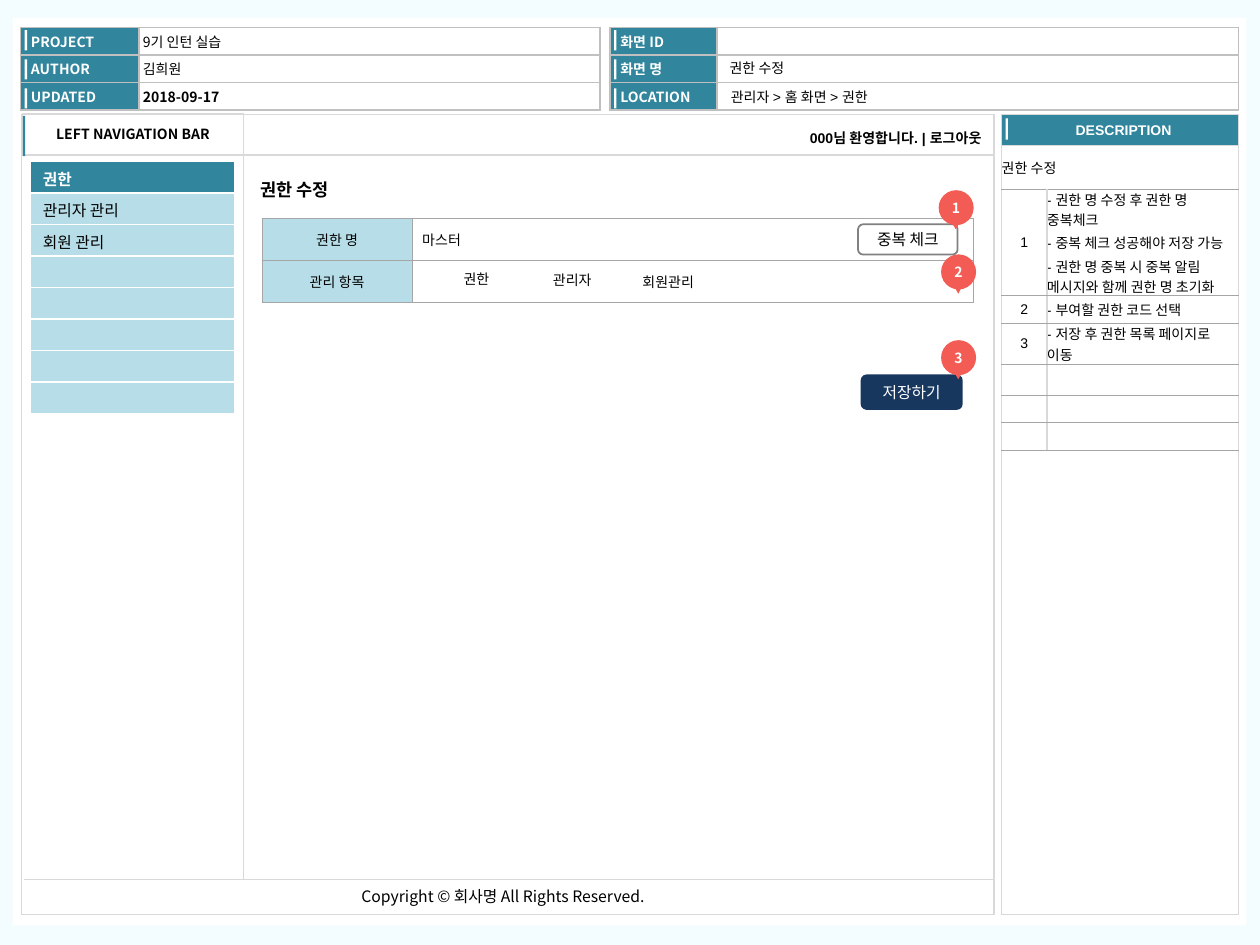
from dataclasses import dataclass
from typing import Any, Optional, Sequence

import lxml.etree
import pptx
import pptx.dml.color
import pptx.enum.shapes
import pptx.enum.text
import pptx.oxml.ns
import pptx.util

Pt = pptx.util.Pt
Align = pptx.enum.text.PP_ALIGN
Anchor = pptx.enum.text.MSO_ANCHOR
Preset = pptx.enum.shapes.MSO_SHAPE
qn = pptx.oxml.ns.qn


@dataclass(frozen=True)
class Theme:
    """Colours, fonts and type sizes of the slide."""
    page: str = "F3FCFF"
    white: str = "FFFFFF"
    black: str = "000000"
    teal: str = "31859C"
    pale: str = "B7DEE8"
    navy: str = "17375E"
    coral: str = "F25C54"
    frame: str = "D9D9D9"
    grid: str = "C0C0C0"
    rule: str = "A6A6A6"
    outline: str = "808080"
    noto: str = "Noto Sans CJK KR"
    arial: str = "Arial"
    small: float = 8
    medium: float = 9
    heading: float = 10


THEME = Theme()
TIGHT = (2.2, 0, 2.2, 0)
SNUG = (5.8, 2.9, 5.8, 2.9)
NORMAL = (7.2, 3.6, 7.2, 3.6)
NONE = (0, 0, 0, 0)


@dataclass(frozen=True)
class Style:
    """How a piece of text looks."""
    size: float = THEME.small
    color: str = THEME.black
    bold: bool = False
    font: str = THEME.noto
    align: Any = Align.LEFT
    before: float = 0


@dataclass(frozen=True)
class Cell:
    """Content, fill and insets of one table cell."""
    lines: Sequence[str] = ()
    style: Style = Style(before=1.6)
    fill: Optional[str] = THEME.white
    insets: Sequence[float] = TIGHT


@dataclass(frozen=True)
class Edges:
    """Colour and width of the side and the horizontal borders."""
    side: str
    side_width: float
    top: str
    bottom: str
    width: float


def uniform(color: str, width: float) -> Edges:
    """Give the same border on all sides."""
    return Edges(color, width, color, color, width)


def rgb(value: str) -> Any:
    """Turn a hex string into a colour."""
    return pptx.dml.color.RGBColor.from_string(value)


def write(frame: Any, lines: Sequence[str], style: Style) -> None:
    """Write one paragraph per line, each with one formatted run."""
    for index, line in enumerate(lines):
        paragraph = frame.add_paragraph() if index else frame.paragraphs[0]
        paragraph.alignment = style.align
        paragraph.space_before = Pt(style.before)
        run = paragraph.add_run()
        run.text = line
        run.font.name = style.font
        run.font.size = Pt(style.size)
        run.font.bold = style.bold
        run.font.color.rgb = rgb(style.color)
        east_asian = lxml.etree.Element(qn("a:ea"), typeface=THEME.noto)
        run.font._element.find(qn("a:latin")).addnext(east_asian)


def set_insets(target: Any, insets: Sequence[float]) -> None:
    """Set the left, top, right and bottom insets."""
    for side, value in zip(("left", "top", "right", "bottom"), insets):
        setattr(target, f"margin_{side}", Pt(value))


def add_box(shapes: Any, preset: Any, box: Sequence[float], fill: Optional[str] = None,
            line: Optional[str] = None, width: float = 0.75, text: str = "",
            style: Style = Style(), insets: Sequence[float] = NONE) -> Any:
    """Draw a preset shape with optional fill, outline and text."""
    shape = shapes.add_shape(preset, *map(Pt, box))
    shape.shadow.inherit = False
    if fill:
        shape.fill.solid()
        shape.fill.fore_color.rgb = rgb(fill)
    else:
        shape.fill.background()
    if line:
        shape.line.color.rgb = rgb(line)
        shape.line.width = Pt(width)
    else:
        shape.line.fill.background()
    if text:
        shape.text_frame.vertical_anchor = Anchor.MIDDLE
        set_insets(shape.text_frame, insets)
        write(shape.text_frame, [text], style)
    return shape


def add_label(shapes: Any, box: Sequence[float], text: str, style: Style,
              insets: Sequence[float] = NORMAL, wrap: bool = False) -> None:
    """Add a text box."""
    frame = shapes.add_textbox(*map(Pt, box)).text_frame
    frame.word_wrap = wrap
    set_insets(frame, insets)
    write(frame, [text], style)


def add_line(shapes: Any, start: Sequence[float], end: Sequence[float], width: float) -> None:
    """Draw a straight frame line."""
    line = shapes.add_connector(pptx.enum.shapes.MSO_CONNECTOR.STRAIGHT,
                                *map(Pt, (*start, *end)))
    line.line.color.rgb = rgb(THEME.frame)
    line.line.width = Pt(width)
    lxml.etree.SubElement(line._element.spPr, qn("a:effectLst"))


def format_cell(cell: Any, content: Cell, edges: Edges) -> None:
    """Fill one cell with its text, borders and colour."""
    cell.vertical_anchor = Anchor.MIDDLE
    set_insets(cell, content.insets)
    properties = cell._tc.get_or_add_tcPr()
    for tag, color, width in (("lnL", edges.side, edges.side_width),
                              ("lnR", edges.side, edges.side_width),
                              ("lnT", edges.top, edges.width),
                              ("lnB", edges.bottom, edges.width)):
        border = lxml.etree.SubElement(properties, qn(f"a:{tag}"), w=str(Pt(width)))
        solid = lxml.etree.SubElement(border, qn("a:solidFill"))
        lxml.etree.SubElement(solid, qn("a:srgbClr"), val=color)
    if content.fill:
        cell.fill.solid()
        cell.fill.fore_color.rgb = rgb(content.fill)
    else:
        cell.fill.background()
    write(cell.text_frame, content.lines, content.style)
    if not content.lines:
        lxml.etree.SubElement(cell.text_frame.paragraphs[0]._p, qn("a:endParaRPr"), sz="800")


def add_grid(shapes: Any, origin: Sequence[float], columns: Sequence[float],
             heights: Sequence[float], rows: Sequence[Sequence[Cell]],
             edges: Sequence[Edges]) -> Any:
    """Build a table; the last border rule serves all remaining rows."""
    table = shapes.add_table(len(heights), len(columns), *map(
        Pt, (*origin, sum(columns), sum(heights)))).table
    table.first_row = table.horz_banding = False
    for column, width in zip(table.columns, columns):
        column.width = Pt(width)
    for index, (height, row) in enumerate(zip(heights, rows)):
        table.rows[index].height = Pt(height)
        for position, content in enumerate(row):
            format_cell(table.cell(index, position), content,
                        edges[min(index, len(edges) - 1)])
    return table


def add_badge(shapes: Any, left: float, top: float, number: int) -> None:
    """Draw a numbered pin as a group."""
    group = shapes.add_group_shape().shapes
    add_box(group, Preset.OVAL, (left, top, 20, 20), THEME.coral, text=str(number),
            style=Style(color=THEME.white, bold=True, align=Align.CENTER))
    tip = add_box(group, Preset.ISOSCELES_TRIANGLE, (left + 6.5, top + 16.6, 6.5, 5.8), THEME.coral)
    tip.rotation = 180


def main() -> None:
    """Build and save the slide."""
    presentation = pptx.Presentation()
    presentation.slide_width, presentation.slide_height = Pt(720), Pt(540)
    slide = presentation.slides.add_slide(presentation.slide_layouts[5])
    slide.background.fill.solid()
    slide.background.fill.fore_color.rgb = rgb(THEME.page)
    shapes = slide.shapes
    add_box(shapes, Preset.RECTANGLE, (7.2, 10, 705, 519), THEME.white)

    key = Style(color=THEME.white, bold=True, before=1.6)
    value, strong = Style(before=1.6), Style(bold=True, before=1.6)
    headers = (
        (11.7, (67.7, 263.5), (("PROJECT", "9기 인턴 실습", value), ("AUTHOR", "김희원", value),
                               ("UPDATED", "2018-09-17", strong))),
        (348.5, (61.2, 298), (("화면 ID", "", value), ("화면 명", "", value),
                              ("LOCATION", "", value))))
    for left, columns, entries in headers:
        rows = [(Cell([name], key, THEME.teal, (6, 0, 2.2, 0)), Cell([text] if text else (), style))
                for name, text, style in entries]
        add_grid(shapes, (left, 15.7), columns, [15.7] * 3, rows, [uniform(THEME.grid, 1)])
        for index in range(3):
            add_box(shapes, Preset.RECTANGLE, (left + 2.4, 17.3 + 16.6 * index, 1.4, 11.5), THEME.white)
    arial = Style(font=THEME.arial)
    add_label(shapes, (411.8, 47.5, 209, 14.4), "관리자 > 홈 화면 > 권한", arial, SNUG, True)
    add_label(shapes, (411.1, 31, 209, 14.4), "권한 수정", arial, SNUG, True)

    add_box(shapes, Preset.RECTANGLE, (12.2, 65.5, 555.8, 457.2), line=THEME.frame)
    caption = Style(color=THEME.white, bold=True, font=THEME.arial, align=Align.CENTER, before=1.6)
    add_grid(shapes, (572.4, 65.5), [135.4], (18, 439.2),
             ([Cell(["DESCRIPTION"], caption, THEME.teal, (4, 0, 0, 0))], [Cell()]),
             (Edges(THEME.frame, 1, THEME.frame, THEME.grid, 1),
              Edges(THEME.frame, 1, THEME.grid, THEME.frame, 1)))
    add_box(shapes, Preset.RECTANGLE, (574.6, 67.7, 1.4, 12.2), THEME.white)

    note = Style(font=THEME.arial, before=1.6)
    number = Style(font=THEME.arial, align=Align.CENTER, before=1.6)
    notes = (("- 권한 명 수정 후 권한 명 중복체크", "- 중복 체크 성공해야 저장 가능",
              "- 권한 명 중복 시 중복 알림 메시지와 함께 권한 명 초기화"),
             ("- 부여할 권한 코드 선택",), ("- 저장 후 권한 목록 페이지로 이동",))
    rows = [(Cell(["권한 수정"], note, insets=NONE), Cell(insets=NONE))]
    rows += [(Cell([str(index)], number, insets=NONE), Cell(lines, note, insets=NONE))
             for index, lines in enumerate(notes, 1)]
    rows += [(Cell(insets=NONE), Cell(insets=NONE))] * 3
    details = add_grid(shapes, (572.4, 82.8), (25.9, 109.5),
                       (25.2, 61, 15.8, 23.4, 17.6, 15.8, 15.8), rows,
                       (Edges(THEME.frame, 1, THEME.frame, THEME.rule, 0.5),
                        Edges(THEME.frame, 1, THEME.rule, THEME.rule, 0.5)))
    details.cell(0, 0).merge(details.cell(0, 1))

    add_line(shapes, (13.7, 502.6), (568, 502.6), 1)
    add_label(shapes, (199.4, 503.3, 181.4, 18), "Copyright ©\u00a0회사명 All Rights Reserved.",
              Style(THEME.medium))
    add_box(shapes, Preset.RECTANGLE, (13, 64.8, 126, 23.8), line=THEME.frame,
            text="LEFT NAVIGATION BAR", style=Style(bold=True, align=Align.CENTER))
    add_box(shapes, Preset.RECTANGLE, (13, 66.2, 1.4, 23), THEME.teal)
    add_line(shapes, (139, 65.5), (139, 502.6), 0.75)
    add_line(shapes, (139, 88.6), (568, 88.6), 1)
    add_label(shapes, (380.9, 71.3, 185.8, 15.8), "000님 환영합니다. | 로그아웃",
              Style(bold=True, font=THEME.arial, align=Align.RIGHT), SNUG, True)

    menu_insets = (7.2, 2.6, 7.2, 1.2)
    item = Style(THEME.medium)
    menu = [[Cell(["권한"], Style(THEME.medium, THEME.white, True), THEME.teal, menu_insets)]]
    menu += [[Cell([name] if name else (), item, THEME.pale, menu_insets)]
             for name in ("관리자 관리", "회원 관리", "", "", "", "", "")]
    add_grid(shapes, (17.3, 92.2), [116.6], [18] * 8, menu, [uniform(THEME.white, 1)])

    title = shapes.title
    shapes._spTree.append(title._element)
    title.left, title.top, title.width, title.height = map(Pt, (141.8, 98.6, 58.3, 19.4))
    title.text_frame.word_wrap = False
    title.text_frame.auto_size = pptx.enum.text.MSO_AUTO_SIZE.NONE
    title.text_frame.vertical_anchor = Anchor.TOP
    set_insets(title.text_frame, NORMAL)
    write(title.text_frame, ["권한 수정"], Style(THEME.heading, bold=True))

    add_box(shapes, Preset.ROUNDED_RECTANGLE, (491.8, 214, 58.3, 20.2), THEME.navy,
            text="저장하기", style=Style(THEME.medium, THEME.white, align=Align.CENTER))
    center = Style(align=Align.CENTER, before=1.6)
    form = [(Cell([name], center, THEME.pale, SNUG), Cell(lines, value, None, SNUG))
            for name, lines in (("권한 명", ["마스터"]), ("관리 항목", ()))]
    add_grid(shapes, (149.8, 124.6), (85.7, 320.4), (24.1, 24.1), form, [uniform(THEME.rule, 0.25)])
    add_box(shapes, Preset.ROUNDED_RECTANGLE, (490.3, 128.2, 56.9, 17.3), THEME.white,
            THEME.outline, 1, "중복 체크", Style(THEME.medium, align=Align.CENTER))
    for left, top, width, text in ((257.8, 151.2, 31, "권한"), (308.9, 151.9, 38.9, "관리자"),
                                   (360, 152.6, 46.8, "회원관리")):
        add_label(shapes, (left, top, width, 17.3), text, Style())
    for left, top, index in ((536.4, 108.7, 1), (537.8, 194.4, 3), (537.8, 145.4, 2)):
        add_badge(shapes, left, top, index)
    presentation.save("out.pptx")


main()
